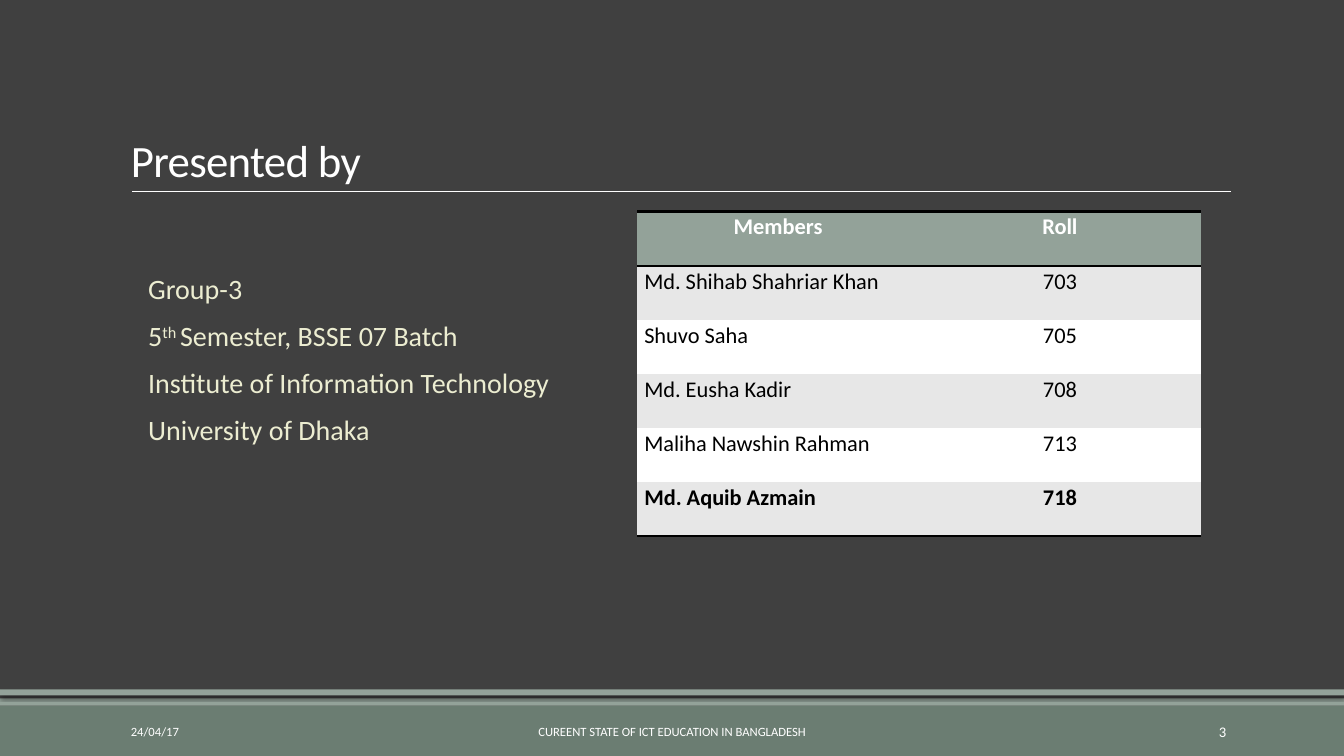
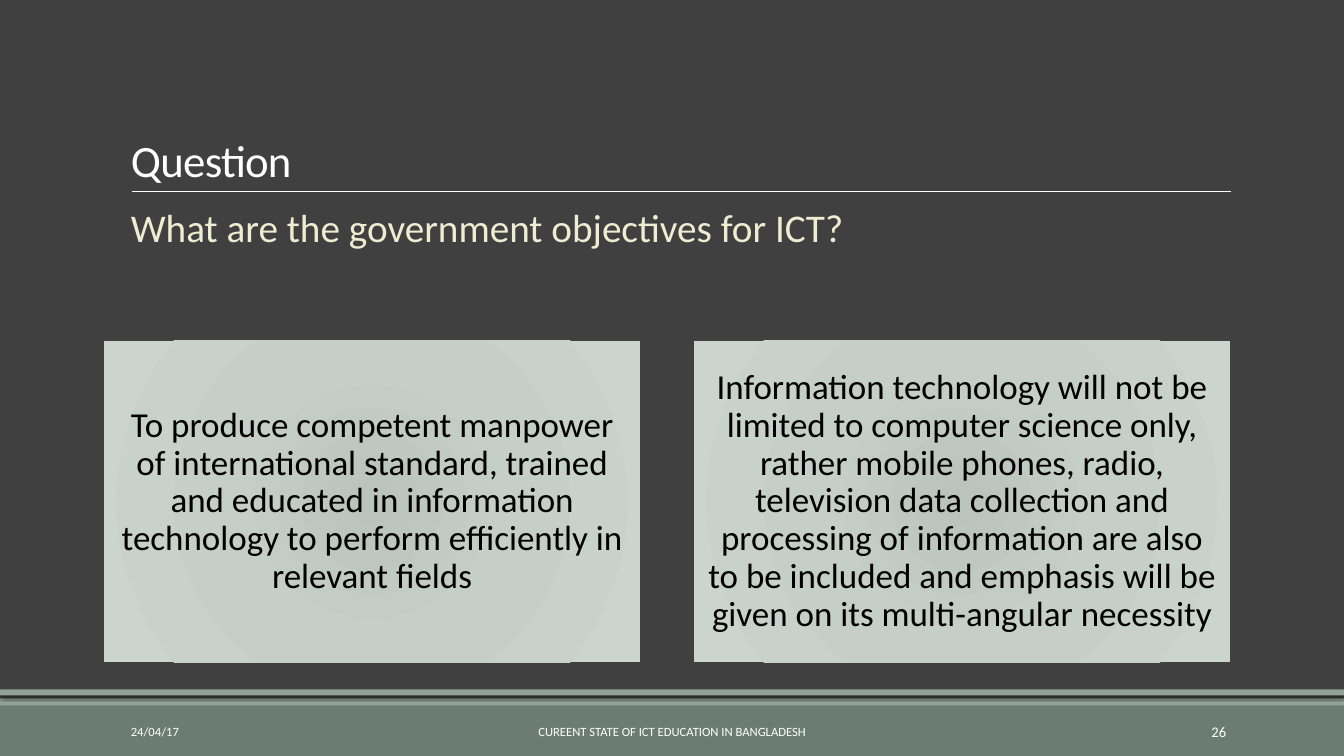
from lxml import etree
from pptx import Presentation
from pptx.dml.color import RGBColor
from pptx.enum.shapes import MSO_CONNECTOR, MSO_SHAPE
from pptx.enum.text import MSO_ANCHOR, PP_ALIGN
from pptx.oxml import parse_xml
from pptx.oxml.ns import nsdecls, qn
from pptx.util import Inches, Pt

FONT = "Calibri"
COLORS = {
    "background": "404040",
    "footer": "6B7D72",
    "accent": "93A299",
    "white": "FFFFFF",
    "black": "000000",
    "body": "ECEDD1",
    "row": "E7E7E7",
}
CARD_STOPS = [(0, "BAC3BE"), (45, "C6CEC9"), (100, "CCD4CF")]
NO_TABLE_STYLE = "{2D5ABB26-0587-4C30-8999-92F81FD0307C}"
DATE = "24/04/17"
FOOTER = "CUREENT STATE OF ICT EDUCATION IN BANGLADESH"
MEMBERS = [
    ("Members", "Roll"),
    ("Md. Shihab Shahriar Khan", "703"),
    ("Shuvo Saha", "705"),
    ("Md. Eusha Kadir", "708"),
    ("Maliha Nawshin Rahman", "713"),
    ("Md. Aquib Azmain", "718"),
]
OBJECTIVES = [
    "To produce competent manpower of international standard, trained and "
    "educated in information technology to perform efficiently in relevant fields",
    "Information technology will not be limited to computer science only, rather "
    "mobile phones, radio, television data collection and processing of information "
    "are also to be included and emphasis will be given on its multi-angular necessity",
]


def rgb(name):
    return RGBColor.from_string(COLORS[name])


def write(tf, *lines, size=20, color="white", bold=False, align=PP_ALIGN.LEFT,
          spacing=1.0, after=0, tracking=0):
    """Write one paragraph per line; in a tuple, every second part is superscript."""
    for i, line in enumerate(lines):
        p = tf.paragraphs[0] if i == 0 else tf.add_paragraph()
        p.alignment, p.line_spacing, p.space_after = align, spacing, Pt(after)
        for j, part in enumerate((line,) if isinstance(line, str) else line):
            r = p.add_run()
            r.text = part
            r.font.name, r.font.size, r.font.bold = FONT, Pt(size), bold
            r.font.color.rgb = rgb(color)
            if tracking:
                r.font._element.set("spc", str(int(tracking * 100)))
            if j % 2:
                r.font._element.set("baseline", "30000")


def set_frame(tf, anchor, side=0.1, edge=0.05):
    tf.word_wrap = True
    tf.vertical_anchor = anchor
    tf.margin_left = tf.margin_right = Inches(side)
    tf.margin_top = tf.margin_bottom = Inches(edge)


def add_text(s, box, *lines, anchor=MSO_ANCHOR.TOP, side=0.1, **fmt):
    tf = s.shapes.add_textbox(*map(Inches, box)).text_frame
    set_frame(tf, anchor, side)
    write(tf, *lines, **fmt)


def add_rect(s, box, color=None):
    sp = s.shapes.add_shape(MSO_SHAPE.RECTANGLE, *map(Inches, box))
    sp.shadow.inherit = False
    sp.line.fill.background()
    if color:
        sp.fill.solid()
        sp.fill.fore_color.rgb = rgb(color)
    return sp


def add_rule(s, x1, x2, y):
    line = s.shapes.add_connector(
        MSO_CONNECTOR.STRAIGHT, Inches(x1), Inches(y), Inches(x2), Inches(y))
    line.line.color.rgb = rgb("white")
    line.line.width = Pt(0.5)
    etree.SubElement(line.element.spPr, qn("a:effectLst"))


def add_shadow(sp):
    effects = sp.element.spPr.find(qn("a:effectLst"))
    effects.append(parse_xml(
        f'<a:outerShdw {nsdecls("a")} blurRad="{Pt(2)}" dist="{Pt(2)}" dir="5400000">'
        f'<a:srgbClr val="{COLORS["black"]}"><a:alpha val="40000"/></a:srgbClr>'
        '</a:outerShdw>'))


def add_card(s, box, text):
    """Add a rectangle with a radial gradient and centred text."""
    sp = add_rect(s, box)
    stops = "".join(f'<a:gs pos="{pos * 1000}"><a:srgbClr val="{color}"/></a:gs>'
                    for pos, color in CARD_STOPS)
    sp.element.spPr.find(qn("a:prstGeom")).addnext(parse_xml(
        f'<a:gradFill {nsdecls("a")} rotWithShape="1"><a:gsLst>{stops}</a:gsLst>'
        '<a:path path="circle"><a:fillToRect l="100000" t="100000" r="100000" '
        'b="100000"/></a:path></a:gradFill>'))
    set_frame(sp.text_frame, MSO_ANCHOR.MIDDLE, edge=0.1)
    write(sp.text_frame, text, size=25, color="black", align=PP_ALIGN.CENTER,
          spacing=0.9)


def add_borders(cell, *sides):
    """Draw 2 pt lines on the given sides, listed as lnT before lnB."""
    tc_pr = cell._tc.get_or_add_tcPr()
    for i, side in enumerate(sides):
        tc_pr.insert(i, parse_xml(
            f'<a:{side} {nsdecls("a")} w="{Pt(2)}"><a:solidFill>'
            f'<a:srgbClr val="{COLORS["black"]}"/></a:solidFill></a:{side}>'))


def add_members_table(s, box, rows):
    frame = s.shapes.add_table(len(rows), len(rows[0]), *map(Inches, box))
    next(frame.element.iter(qn("a:tableStyleId"))).text = NO_TABLE_STYLE
    table = frame.table
    last = len(rows) - 1
    for i, row in enumerate(rows):
        fill = "accent" if i == 0 else "row" if i % 2 else "white"
        for j, text in enumerate(row):
            cell = table.cell(i, j)
            cell.margin_left = cell.margin_right = Inches(0.07)
            cell.margin_top = cell.margin_bottom = 0
            cell.fill.solid()
            cell.fill.fore_color.rgb = rgb(fill)
            write(cell.text_frame, text, size=16, spacing=1.07,
                  color="black" if i else "white", bold=i in (0, last),
                  align=PP_ALIGN.LEFT if i and j == 0 else PP_ALIGN.CENTER)
            if i == 0:
                add_borders(cell, "lnT", "lnB")
            elif i == last:
                add_borders(cell, "lnB")


def add_base_slide(prs, title, number):
    """Add a slide with the shared background, bands, title and footer."""
    s = prs.slides.add_slide(prs.slide_layouts[6])
    s.background.fill.solid()
    s.background.fill.fore_color.rgb = rgb("background")
    add_rect(s, (0, 7, 13.33, 0.5), "footer")
    add_rect(s, (0, 6.93, 13.33, 0.07), "accent")
    add_rule(s, 1.31, 12.21, 1.9)
    add_shadow(add_rect(s, (0, 6.84, 13.33, 0.06), "accent"))
    add_text(s, (1.2, 0.31, 11, 1.59), title, anchor=MSO_ANCHOR.BOTTOM,
             size=32, spacing=0.85, tracking=-0.5)
    for x, width, text, size, align in (
            (1.2, 2.7, DATE, 9, PP_ALIGN.LEFT),
            (4.03, 5.27, FOOTER, 9, PP_ALIGN.CENTER),
            (10.83, 1.43, str(number), 10.5, PP_ALIGN.RIGHT)):
        add_text(s, (x, 7.06, width, 0.4), text, anchor=MSO_ANCHOR.MIDDLE,
                 size=size, align=align)
    return s


def add_presenters_slide(prs):
    s = add_base_slide(prs, "Presented by", 3)
    add_text(s, (1.42, 2.62, 4.8, 2), "Group-3",
             ("5", "th ", "Semester, BSSE 07 Batch"),
             "Institute of Information Technology", "University of Dhaka",
             side=0.05, color="body", spacing=1.07, after=8)
    add_members_table(s, (6.32, 2.1, 5.59, 3.22), MEMBERS)


def add_question_slide(prs):
    s = add_base_slide(prs, "Question", 26)
    add_text(s, (1.2, 2.02, 11, 0.6), "What are the government objectives for ICT?",
             size=28, color="body", spacing=0.9)
    width, gap = 5.32, 0.53
    for i, text in enumerate(OBJECTIVES):
        add_card(s, (1.03 + i * (width + gap), 3.38, width, 3.19), text)


def main():
    prs = Presentation()
    prs.slide_width, prs.slide_height = Inches(13.33), Inches(7.5)
    add_presenters_slide(prs)
    add_question_slide(prs)
    prs.save("out.pptx")


if __name__ == "__main__":
    main()
